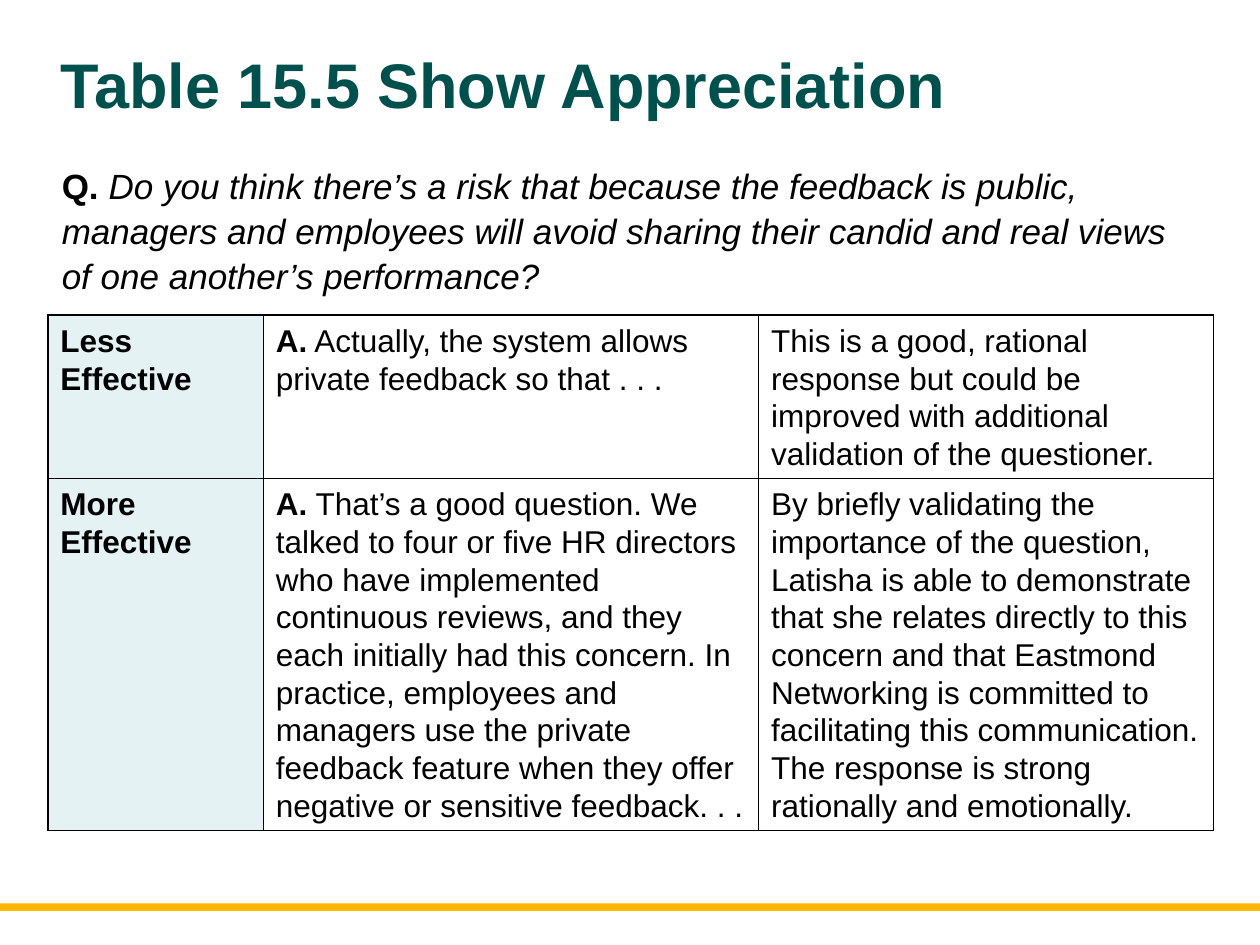
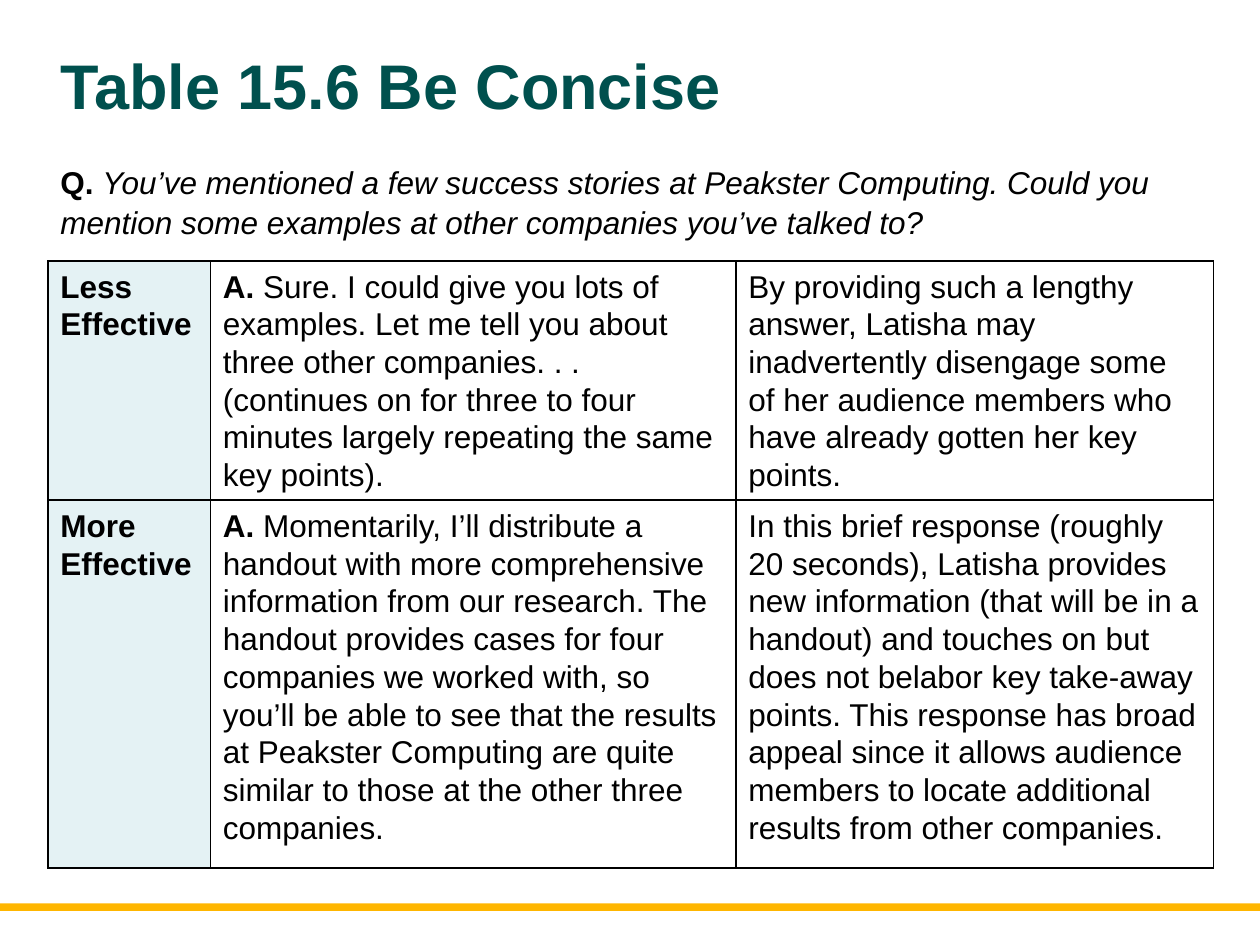
from lxml.etree import SubElement
from pptx import Presentation
from pptx.dml.color import RGBColor
from pptx.enum.shapes import MSO_SHAPE
from pptx.enum.text import MSO_ANCHOR, MSO_AUTO_SIZE, PP_ALIGN
from pptx.oxml.ns import qn
from pptx.util import Inches, Pt

COLORS = {"title": "00504E", "text": "000000", "band": "FFB600",
          "label": "E4F2F4", "border": "000000"}

FRAME = {"word_wrap": True, "auto_size": MSO_AUTO_SIZE.NONE}
TITLE_FRAME = {**FRAME, "vertical_anchor": MSO_ANCHOR.MIDDLE}
QUESTION_FRAME = {**FRAME, "vertical_anchor": MSO_ANCHOR.TOP}
TITLE_PARAGRAPH = {"alignment": PP_ALIGN.LEFT, "line_spacing": 0.9, "space_before": Pt(0)}
TEXT_PARAGRAPH = {"alignment": PP_ALIGN.LEFT, "line_spacing": 1.07,
                  "space_before": Pt(0), "space_after": Pt(8)}
PLAIN = {"bold": False, "italic": False}
BOLD = {"bold": True, "italic": False}
ITALIC = {"bold": False, "italic": True}

LEFT, WIDTH = 0.38, 9.25
CELL_SIZE = 18

SLIDES = [
    {
        "title": "Table 15.5 Show Appreciation",
        "title_box": (LEFT, 0.33, WIDTH, 0.74),
        "question": "Do you think there’s a risk that because the feedback is public, "
                    "managers and employees will avoid sharing their candid and real "
                    "views of one another’s performance?",
        "question_box": (0.39, 1.23, WIDTH, 1.35),
        "question_size": 20,
        "table_top": 2.5,
        "columns": (1.71, 3.93, 3.61),
        "row_heights": (1.29, 2.79),
        "responses": [
            ("Less Effective",
             "Actually, the system allows private feedback so that . . .",
             "This is a good, rational response but could be improved with additional "
             "validation of the questioner."),
            ("More Effective",
             "That’s a good question. We talked to four or five HR directors who have "
             "implemented continuous reviews, and they each initially had this concern. "
             "In practice, employees and managers use the private feedback feature when "
             "they offer negative or sensitive feedback. . .",
             "By briefly validating the importance of the question, Latisha is able to "
             "demonstrate that she relates directly to this concern and that Eastmond "
             "Networking is committed to facilitating this communication. The response "
             "is strong rationally and emotionally."),
        ],
    },
    {
        "title": "Table 15.6 Be Concise",
        "title_box": (LEFT, 0.37, WIDTH, 0.67),
        "question": "You’ve mentioned a few success stories at Peakster Computing. Could "
                    "you mention some examples at other companies you’ve talked to?",
        "question_box": (LEFT, 1.22, WIDTH, 0.73),
        "question_size": 18,
        "table_top": 2.07,
        "columns": (1.29, 4.17, 3.79),
        "row_heights": (1.9, 2.92),
        "responses": [
            ("Less Effective",
             "Sure. I could give you lots of examples. Let me tell you about three other "
             "companies. . . (continues on for three to four minutes largely repeating "
             "the same key points).",
             "By providing such a lengthy answer, Latisha may inadvertently disengage "
             "some of her audience members who have already gotten her key points."),
            ("More Effective",
             "Momentarily, I’ll distribute a handout with more comprehensive information "
             "from our research. The handout provides cases for four companies we worked "
             "with, so you’ll be able to see that the results at Peakster Computing are "
             "quite similar to those at the other three companies.",
             "In this brief response (roughly 20 seconds), Latisha provides new "
             "information (that will be in a handout) and touches on but does not "
             "belabor key take-away points. This response has broad appeal since it "
             "allows audience members to locate additional results from other companies."),
        ],
    },
]


def apply(target, formats):
    for name, value in formats.items():
        setattr(target, name, value)


def rgb(name):
    return RGBColor.from_string(COLORS[name])


class Deck:
    def __init__(self):
        self.presentation = Presentation()
        self.presentation.slide_width = Inches(10)
        self.presentation.slide_height = Inches(7.5)
        self.slide = None

    def new_slide(self):
        layout = self.presentation.slide_layouts[1]
        self.slide = self.presentation.slides.add_slide(layout)
        self.band()

    def band(self):
        band = self.slide.shapes.add_shape(
            MSO_SHAPE.RECTANGLE, 0, Inches(7.17), Inches(10), Inches(0.06))
        band.shadow.inherit = False
        band.fill.solid()
        band.fill.fore_color.rgb = rgb("band")
        band.line.fill.background()

    def add_text(self, frame, runs, size, paragraph_format=TEXT_PARAGRAPH, color="text"):
        """Fill the frame's first paragraph with (text, font style) runs."""
        paragraph = frame.paragraphs[0]
        apply(paragraph, paragraph_format)
        for text, style in runs:
            run = paragraph.add_run()
            run.text = text
            apply(run.font, {"name": "Arial", "size": Pt(size), **style})
            run.font.color.rgb = rgb(color)
        return paragraph

    def place(self, placeholder, box, frame_format):
        apply(placeholder, dict(zip(("left", "top", "width", "height"), map(Inches, box))))
        apply(placeholder.text_frame, frame_format)
        return placeholder.text_frame

    def title(self, text, box):
        frame = self.place(self.slide.shapes.title, box, TITLE_FRAME)
        self.add_text(frame, [(text, BOLD)], 36, TITLE_PARAGRAPH, "title")

    def question(self, text, box, size):
        frame = self.place(self.slide.placeholders[1], box, QUESTION_FRAME)
        paragraph = self.add_text(frame, [("Q. ", BOLD), (text, ITALIC)], size)
        properties = paragraph._p.get_or_add_pPr()
        properties.set("marL", "0")
        properties.set("indent", "0")
        SubElement(properties, qn("a:buNone"))

    def borders(self, cell):
        properties = cell._tc.get_or_add_tcPr()
        for side in ("lnL", "lnR", "lnT", "lnB"):
            line = SubElement(properties, qn(f"a:{side}"), w=str(Pt(1)))
            fill = SubElement(line, qn("a:solidFill"))
            SubElement(fill, qn("a:srgbClr"), val=COLORS["border"])

    def cell(self, cell, runs, is_label):
        self.borders(cell)
        if is_label:
            cell.fill.solid()
            cell.fill.fore_color.rgb = rgb("label")
        else:
            cell.fill.background()
        self.add_text(cell.text_frame, runs, CELL_SIZE)

    def response_table(self, responses, top, columns, row_heights):
        table = self.slide.shapes.add_table(
            len(responses), len(columns), Inches(LEFT), Inches(top),
            Inches(WIDTH), Inches(sum(row_heights))).table
        apply(table, {"first_row": False, "horz_banding": False})
        for column, width in zip(table.columns, columns):
            column.width = Inches(width)
        for row, height, (label, answer, comment) in zip(table.rows, row_heights, responses):
            row.height = Inches(height)
            contents = ([(label, BOLD)],
                        [("A.", BOLD), (f" {answer}", PLAIN)],
                        [(comment, PLAIN)])
            for index, (cell, runs) in enumerate(zip(row.cells, contents)):
                self.cell(cell, runs, is_label=index == 0)

    def save(self):
        self.presentation.save("out.pptx")


def main():
    deck = Deck()
    for content in SLIDES:
        deck.new_slide()
        deck.title(content["title"], content["title_box"])
        deck.question(content["question"], content["question_box"], content["question_size"])
        deck.response_table(content["responses"], content["table_top"],
                            content["columns"], content["row_heights"])
    deck.save()


if __name__ == "__main__":
    main()
